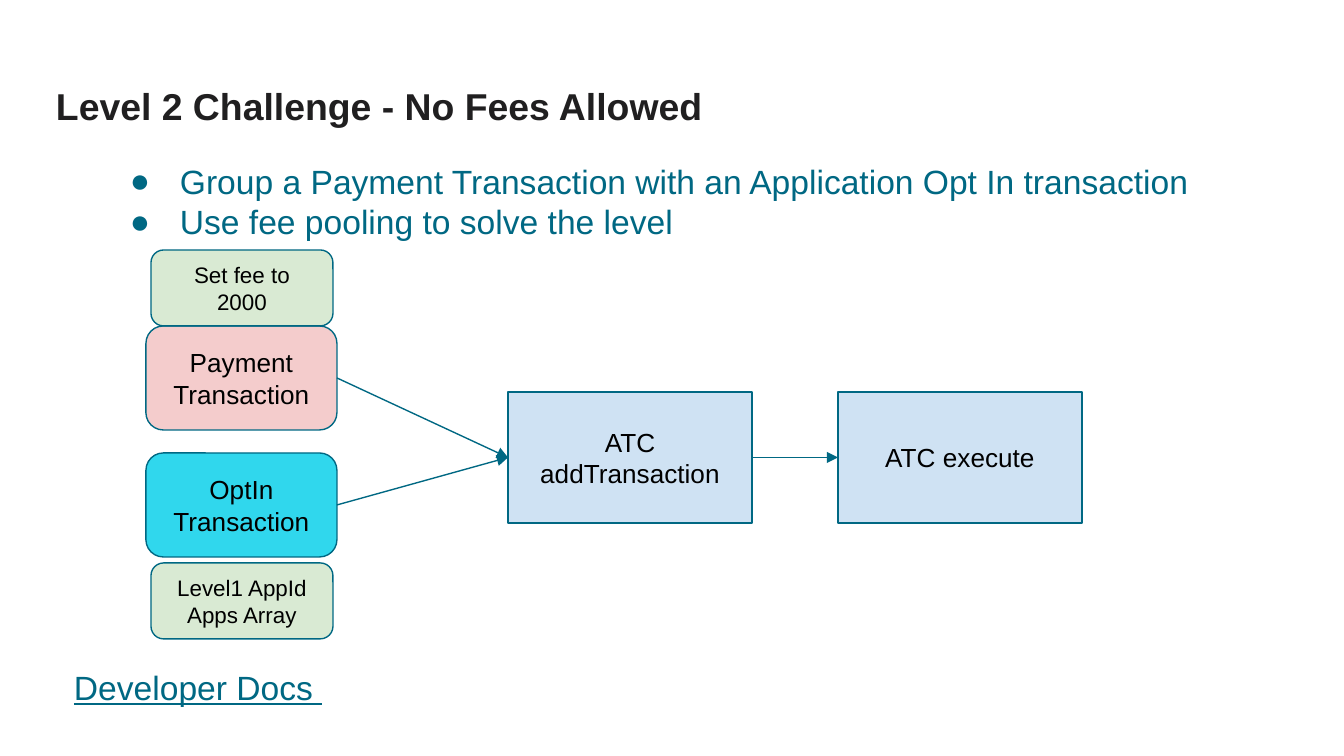
from lxml import etree
from pptx import Presentation
from pptx.dml.color import RGBColor
from pptx.enum.shapes import MSO_CONNECTOR, MSO_SHAPE
from pptx.enum.text import MSO_ANCHOR, MSO_AUTO_SIZE, PP_ALIGN
from pptx.oxml.ns import qn
from pptx.util import Pt

ROUND, RECT = MSO_SHAPE.ROUNDED_RECTANGLE, MSO_SHAPE.RECTANGLE
TOP, MIDDLE = MSO_ANCHOR.TOP, MSO_ANCHOR.MIDDLE
LEFT, CENTER = PP_ALIGN.LEFT, PP_ALIGN.CENTER
TITLE_ONLY = 5
RIGHT_SIDE, LEFT_SIDE = 3, 1

# Content: boxes are (left, top, width, height) in pixels
TITLE = ("Level 2 Challenge - No Fees Allowed", (46, 66, 1252, 85))
BULLETS = ([
    "Group a Payment Transaction with an Application Opt In transaction",
    "Use fee pooling to solve the level",
], (101, 149, 1148, 399))
DOCS = ("Developer Docs", (62, 655, 1226, 84))

# Name: (words, style, left, top)
NODES = {
    "payment": ("Payment Transaction", "payment", 146, 326),
    "opt in": ("OptIn Transaction", "opt in", 146, 453),
    "add": ("ATC addTransaction", "step", 508, 392),
    "execute": ("ATC execute", "step", 838, 392),
    "fee": ("Set fee to 2000", "note", 151, 250),
    "app id": ("Level1 AppId Apps Array", "note", 151, 563),
}
ARROWS = [("payment", "add"), ("opt in", "add"), ("add", "execute")]

# Theme
THEME = {
    "font": "Arial", "accent": "006883", "title": "201F20", "text": "000000",
    "title size": 20, "body size": 18, "line": 0.75, "inset": 12,
}
# Style: (shape, fill, type size, width, height)
STYLES = {
    "payment": (ROUND, "F4CCCC", 14, 191, 104),
    "opt in": (ROUND, "30D7ED", 14, 191, 104),
    "step": (RECT, "CFE2F3", 14, 244, 131),
    "note": (ROUND, "D9EAD3", 12, 182, 76),
}
SCALE = 914400 / 134.4


def px(*lengths):
    return [round(length * SCALE) for length in lengths]


def color(name):
    return RGBColor.from_string(THEME.get(name, name))


def set_frame(frame, anchor, across, down):
    frame.word_wrap = True
    frame.auto_size = MSO_AUTO_SIZE.NONE
    frame.vertical_anchor = anchor
    frame.margin_left = frame.margin_right = px(across)[0]
    frame.margin_top = frame.margin_bottom = px(down)[0]


def write(para, words, size, ink, align=LEFT, bold=False, underline=False):
    para.alignment = align
    span = para.add_run()
    span.text = words
    span.font.name, span.font.size = THEME["font"], Pt(size)
    span.font.color.rgb = color(ink)
    span.font.bold, span.font.underline = bold, underline


def add_bullet(para):
    properties = para._p.get_or_add_pPr()
    indent, hanging = px(67, -50)
    properties.set("marL", str(indent))
    properties.set("indent", str(hanging))
    ink = etree.SubElement(properties, qn("a:buClr"))
    etree.SubElement(ink, qn("a:srgbClr"), val=THEME["accent"])
    etree.SubElement(properties, qn("a:buFont"), typeface=THEME["font"])
    etree.SubElement(properties, qn("a:buChar"), char="●")


def add_text_box(page, place):
    frame = page.shapes.add_textbox(*px(*place)).text_frame
    set_frame(frame, TOP, THEME["inset"], THEME["inset"])
    return frame


def add_node(page, words, style, left, top):
    kind, fill, size, width, height = STYLES[style]
    box = page.shapes.add_shape(kind, *px(left, top, width, height))
    box.shadow.inherit = False
    box.fill.solid()
    box.fill.fore_color.rgb = color(fill)
    box.line.color.rgb = color("accent")
    box.line.width = Pt(THEME["line"])
    set_frame(box.text_frame, MIDDLE, THEME["inset"], THEME["inset"])
    write(box.text_frame.paragraphs[0], words, size, "text", CENTER)
    return box


def add_arrow(page, start, end):
    arrow = page.shapes.add_connector(MSO_CONNECTOR.STRAIGHT, 0, 0, 0, 0)
    arrow.begin_connect(start, RIGHT_SIDE)
    arrow.end_connect(end, LEFT_SIDE)
    arrow.line.color.rgb = color("accent")
    arrow.line.width = Pt(THEME["line"])
    etree.SubElement(arrow.line._get_or_add_ln(), qn("a:tailEnd"), type="triangle")
    etree.SubElement(arrow._element.spPr, qn("a:effectLst"))


deck = Presentation()
deck.slide_width, deck.slide_height = px(1344, 756)
page = deck.slides.add_slide(deck.slide_layouts[TITLE_ONLY])

# Title
words, place = TITLE
title = page.shapes.title
title.left, title.top, title.width, title.height = px(*place)
set_frame(title.text_frame, MIDDLE, 10, 5)
title.text_frame.paragraphs[0].line_spacing = 0.9
write(title.text_frame.paragraphs[0], words, THEME["title size"], "title", bold=True)

# Link line at the foot
words, place = DOCS
write(add_text_box(page, place).paragraphs[0], words + " ", THEME["body size"],
      "accent", underline=True)

# Bullets
lines, place = BULLETS
frame = add_text_box(page, place)
for number, words in enumerate(lines):
    para = frame.add_paragraph() if number else frame.paragraphs[0]
    write(para, words, THEME["body size"], "accent")
    add_bullet(para)

# Flow chart
boxes = {name: add_node(page, *node) for name, node in NODES.items()}
for start, end in ARROWS:
    add_arrow(page, boxes[start], boxes[end])

deck.save("out.pptx")
